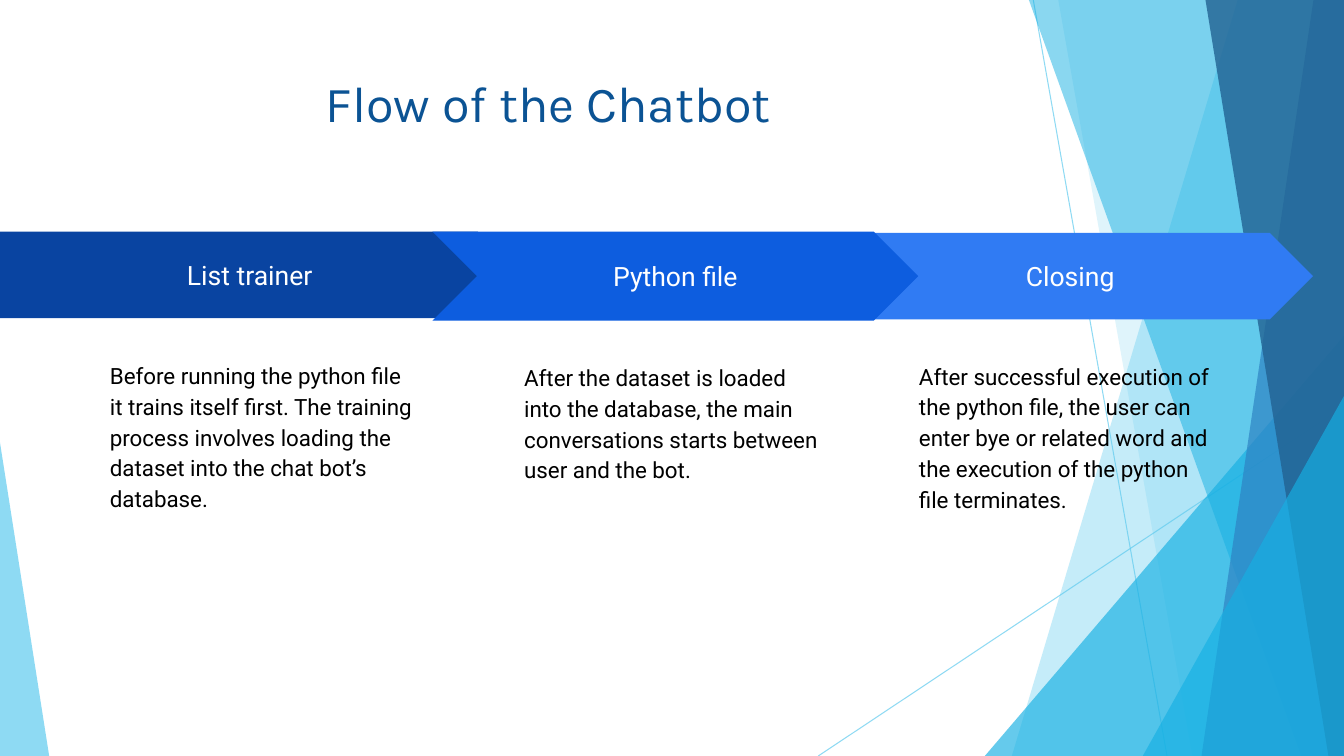
from lxml import etree
from pptx import Presentation
from pptx.dml.color import RGBColor
from pptx.enum.shapes import MSO_CONNECTOR, MSO_SHAPE
from pptx.enum.text import MSO_ANCHOR, MSO_AUTO_SIZE, PP_ALIGN
from pptx.oxml.ns import qn
from pptx.util import Cm, Pt

WIDTH, HEIGHT = 33.87, 19.05
INSET = 0.33

SKY = RGBColor(0x5F, 0xCB, 0xEF)
CYAN = RGBColor(0x16, 0xB0, 0xE3)
STEEL = RGBColor(0x2E, 0x83, 0xC3)
DEEP = RGBColor(0x22, 0x62, 0x92)
TITLE_BLUE = RGBColor(0x0B, 0x53, 0x94)
DARK_BLUE = RGBColor(0x09, 0x44, 0xA1)
MID_BLUE = RGBColor(0x0D, 0x5D, 0xDF)
LIGHT_BLUE = RGBColor(0x30, 0x7B, 0xF3)
WHITE = RGBColor(0xFF, 0xFF, 0xFF)
BLACK = RGBColor(0x00, 0x00, 0x00)

# Arrow shape, left, top, width, height, fill, label, text left, text top, text
STEPS = [
    (MSO_SHAPE.CHEVRON, 20.85, 5.87, 12.24, 2.18, LIGHT_BLUE, "Closing", 22.83, 8.71,
     "After successful execution of the python file, the user can enter bye or "
     "related word and the execution of the python file terminates."),
    (MSO_SHAPE.PENTAGON, 0, 5.84, 13.13, 2.18, DARK_BLUE, "List trainer", 2.44, 8.69,
     "Before running the python file it trains itself first. The training process "
     "involves loading the dataset into the chat bot’s database."),
    (MSO_SHAPE.CHEVRON, 10.9, 5.84, 12.24, 2.24, MID_BLUE, "Python file", 12.88, 8.74,
     "After the dataset is loaded into the database, the main conversations starts "
     "between user and the bot."),
]


def set_opacity(shape, percent):
    """Apply opacity to the shape's only solid colour, be it fill or line."""
    color = next(shape._element.spPr.iter(qn("a:srgbClr")))
    etree.SubElement(color, qn("a:alpha")).set("val", str(percent * 1000))


def paint(shape, color):
    shape.shadow.inherit = False
    shape.fill.solid()
    shape.fill.fore_color.rgb = color
    shape.line.fill.background()


def add_thin_line(slide, x1, y1, x2, y2):
    line = slide.shapes.add_connector(
        MSO_CONNECTOR.STRAIGHT, Cm(x1), Cm(y1), Cm(x2), Cm(y2))
    line.line.color.rgb = SKY
    line.line.width = Pt(0.75)
    set_opacity(line, 70)
    etree.SubElement(line._element.spPr, qn("a:effectLst"))


def add_edge_band(slide, top_x, bottom_x, color, opacity):
    """Fill the full height from a slanted left side to the slide's right edge."""
    builder = slide.shapes.build_freeform(Cm(top_x), 0)
    builder.add_line_segments([
        (Cm(WIDTH), 0), (Cm(WIDTH), Cm(HEIGHT)), (Cm(bottom_x), Cm(HEIGHT))])
    band = builder.convert_to_shape()
    paint(band, color)
    set_opacity(band, opacity)


def add_corner_triangle(slide, left, right, top, apex, color, opacity):
    """Stand a right triangle on the slide's bottom edge."""
    triangle = slide.shapes.add_shape(
        MSO_SHAPE.ISOSCELES_TRIANGLE, Cm(left), Cm(top), Cm(right - left), Cm(HEIGHT - top))
    triangle.adjustments[0] = apex
    paint(triangle, color)
    set_opacity(triangle, opacity)


def add_background(slide):
    add_thin_line(slide, 26.04, 0, 29.41, HEIGHT)
    add_thin_line(slide, WIDTH, 10.24, 20.62, HEIGHT)
    add_edge_band(slide, 31.19, 25.5, SKY, 36)
    add_edge_band(slide, 26.67, 30.05, SKY, 20)
    add_corner_triangle(slide, 24.82, WIDTH, 8.46, 1, CYAN, 66)
    add_edge_band(slide, 25.93, 32.79, CYAN, 50)
    add_edge_band(slide, 33.1, 30.28, STEEL, 70)
    add_edge_band(slide, 30.38, 33.48, DEEP, 80)
    add_corner_triangle(slide, 28.8, WIDTH, 9.98, 1, CYAN, 66)
    add_corner_triangle(slide, 0, 1.24, 11.15, 0, SKY, 70)


def write_text(shape, text, font_name, size, color, align, anchor):
    frame = shape.text_frame
    frame.text = text
    frame.word_wrap = True
    frame.auto_size = MSO_AUTO_SIZE.NONE
    frame.vertical_anchor = anchor
    paragraph = frame.paragraphs[0]
    paragraph.alignment = align
    paragraph.font.name = font_name
    paragraph.font.size = Pt(size)
    paragraph.font.color.rgb = color
    return paragraph


def set_insets(shape):
    frame = shape.text_frame
    frame.margin_left = frame.margin_right = Cm(INSET)
    frame.margin_top = frame.margin_bottom = Cm(INSET)


def add_title(slide, text):
    title = slide.shapes.title
    title.left, title.top, title.width, title.height = Cm(1.88), Cm(1.7), Cm(23.88), Cm(2.24)
    write_text(title, text, "Karla", 36, TITLE_BLUE, PP_ALIGN.CENTER, MSO_ANCHOR.TOP)


def add_arrow(slide, kind, left, top, width, height, color, label):
    arrow = slide.shapes.add_shape(kind, Cm(left), Cm(top), Cm(width), Cm(height))
    paint(arrow, color)
    set_insets(arrow)
    write_text(arrow, label, "Roboto", 19, WHITE, PP_ALIGN.CENTER, MSO_ANCHOR.MIDDLE)


def add_description(slide, left, top, text):
    box = slide.shapes.add_textbox(Cm(left), Cm(top), Cm(8.28), Cm(8.58))
    set_insets(box)
    paragraph = write_text(box, text, "Roboto", 16, BLACK, PP_ALIGN.LEFT, MSO_ANCHOR.TOP)
    paragraph.line_spacing = 1.15


def main():
    presentation = Presentation()
    presentation.slide_width = Cm(WIDTH)
    presentation.slide_height = Cm(HEIGHT)
    slide = presentation.slides.add_slide(presentation.slide_layouts[5])
    add_background(slide)
    add_title(slide, "Flow of the Chatbot")
    for *arrow, text_left, text_top, text in STEPS:
        add_arrow(slide, *arrow)
        add_description(slide, text_left, text_top, text)
    presentation.save("out.pptx")


if __name__ == "__main__":
    main()
